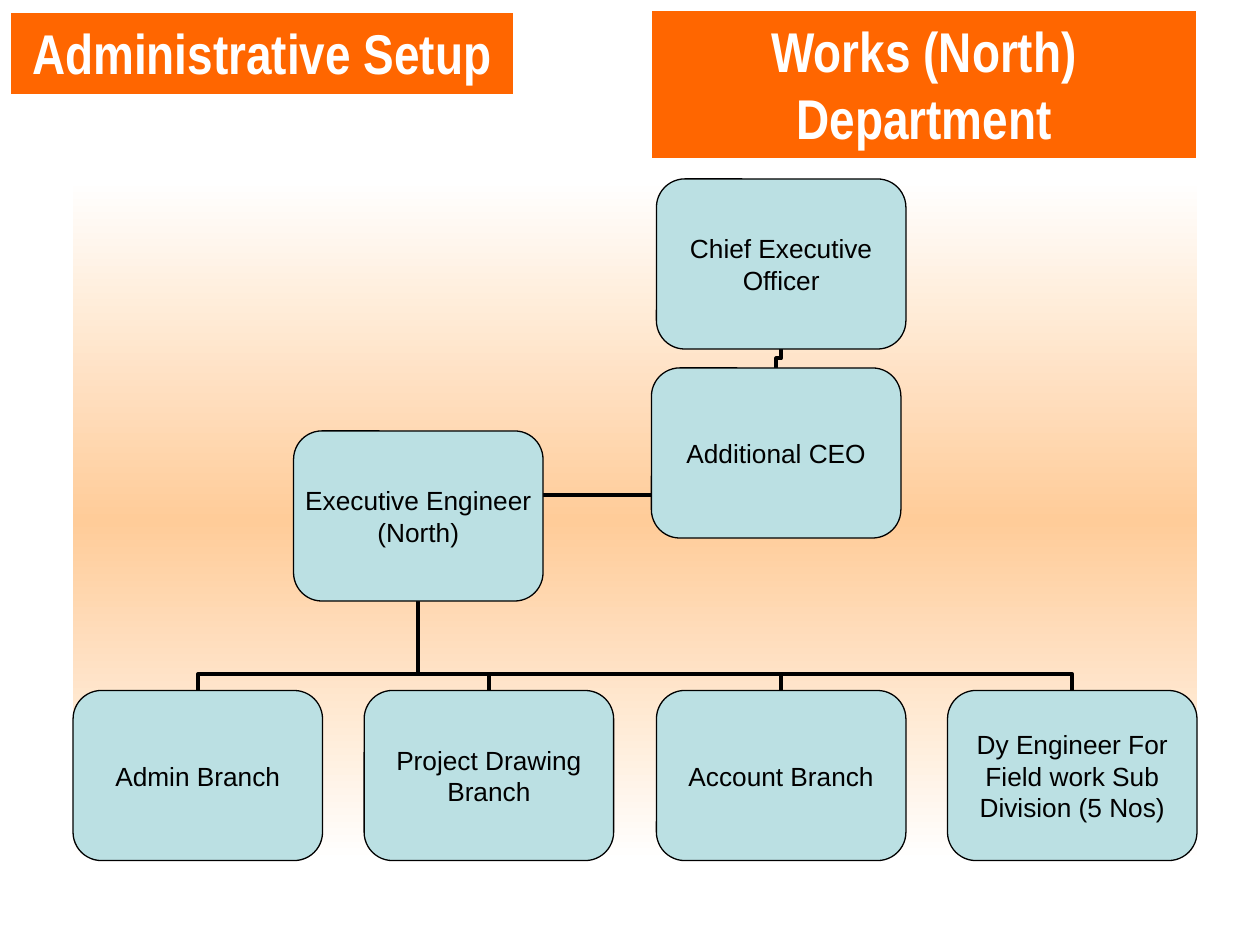
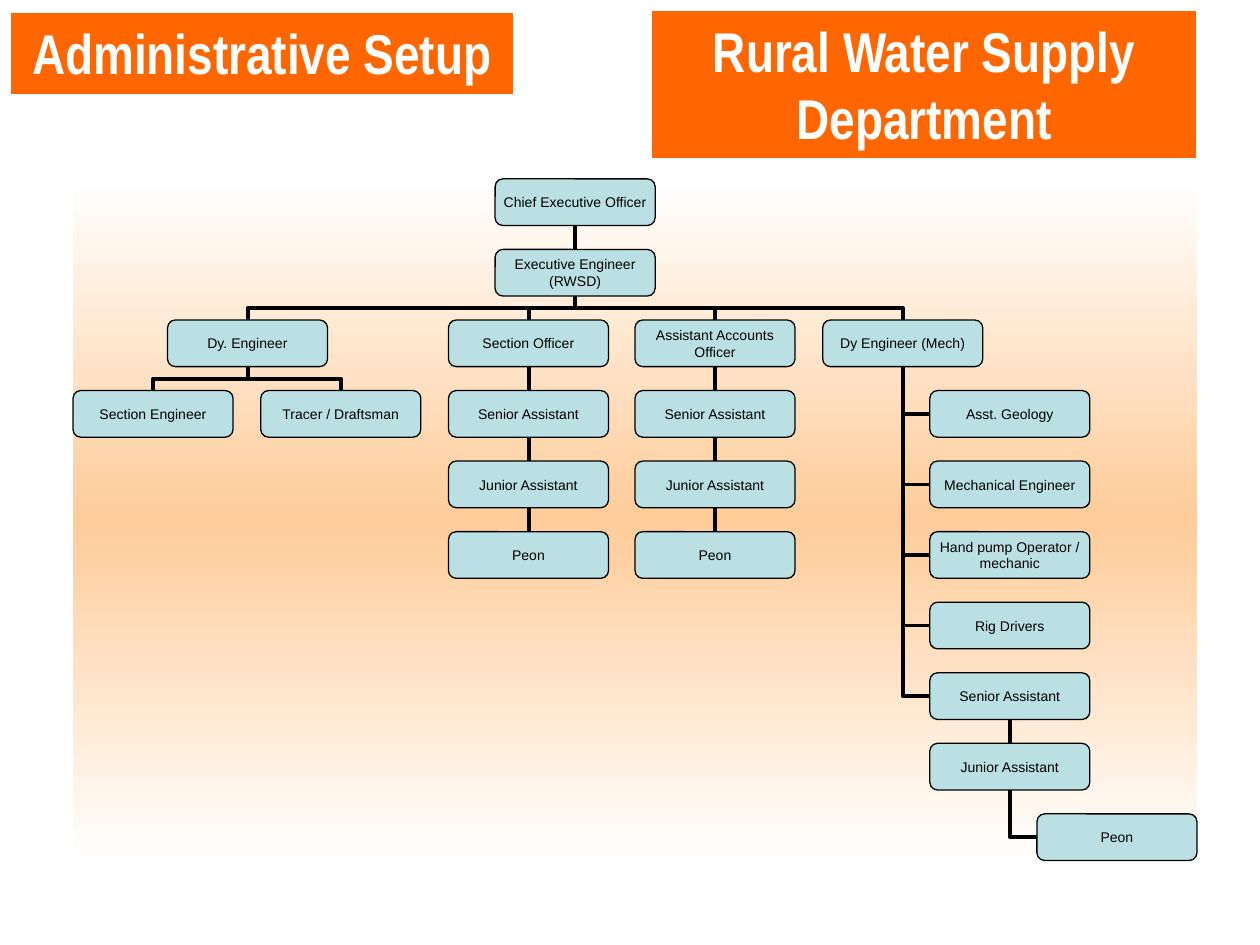
"""Build two organisation charts for the administrative setup of a council."""
from copy import deepcopy
from dataclasses import dataclass
from typing import Optional

from lxml import etree
from pptx import Presentation
from pptx.dml.color import RGBColor
from pptx.enum.shapes import MSO_CONNECTOR, MSO_SHAPE
from pptx.enum.text import MSO_ANCHOR, MSO_AUTO_SIZE, PP_ALIGN
from pptx.oxml.ns import qn
from pptx.util import Emu, Pt

EMU_PER_PX = 9144
TITLE_ONLY = 5
TOP, LEFT, BOTTOM, RIGHT = range(4)
STRAIGHT, ELBOW = MSO_CONNECTOR.STRAIGHT, MSO_CONNECTOR.ELBOW
RECTANGLE, ROUNDED = MSO_SHAPE.RECTANGLE, MSO_SHAPE.ROUNDED_RECTANGLE
CENTER = PP_ALIGN.CENTER
ANCHOR_TOP, ANCHOR_MIDDLE = MSO_ANCHOR.TOP, MSO_ANCHOR.MIDDLE
NO_AUTOFIT = MSO_AUTO_SIZE.NONE

ORANGE, PEACH, PALE_BLUE = "FF6600", "FFCC99", "BBE0E3"
WHITE, BLACK = "FFFFFF", "000000"
HEADING_FONT, BOX_FONT = "Arial Narrow", "Arial"

BELOW, BESIDE, ACROSS = "below", "beside", "across"
ACROSS_LEVEL = 393


@dataclass(frozen=True)
class Area:
    """A rectangle in px."""
    left: int
    top: int
    width: int
    height: int


@dataclass(frozen=True)
class Box:
    """A post, the post above it and the route of the line between them."""
    text: str
    left: int
    top: int
    parent: Optional["Box"] = None
    route: str = BELOW
    bend: float = 0.5


@dataclass(frozen=True)
class OrgChart:
    """One department with the size of its boxes."""
    department: str
    width: int
    height: int
    font_size: int
    boxes: list[Box]


LABEL_AREA = Area(8, 10, 400, 65)
TITLE_AREA = Area(517, 8, 433, 118)
BAND_AREA = Area(58, 142, 892, 542)


def px(value: float) -> Emu:
    """Turn px into EMU."""
    return Emu(round(value * EMU_PER_PX))


def color(value: str) -> RGBColor:
    """Turn a hex string into a colour."""
    return RGBColor.from_string(value)


def bounds(area: Area) -> tuple[Emu, Emu, Emu, Emu]:
    """Give the four lengths of an area in EMU."""
    return px(area.left), px(area.top), px(area.width), px(area.height)


def paint(shape, fill: str, line: str, line_width: float) -> None:
    """Give a shape a solid fill and an outline."""
    shape.fill.solid()
    shape.fill.fore_color.rgb = color(fill)
    shape.line.color.rgb = color(line)
    shape.line.width = Pt(line_width)


def write(shape, text: str, font: str, size: int, text_color: str, bold: bool) -> None:
    """Write one centred, wrapped paragraph into a shape."""
    frame = shape.text_frame
    frame.text = text
    frame.word_wrap = True
    frame.auto_size = NO_AUTOFIT
    paragraph = frame.paragraphs[0]
    paragraph.alignment = CENTER
    run_font = paragraph.runs[0].font
    run_font.name = font
    run_font.size = Pt(size)
    run_font.bold = bold
    run_font.color.rgb = color(text_color)


def style_heading(shape, text: str) -> None:
    """Turn a text shape into an orange heading."""
    paint(shape, ORANGE, WHITE, 1)
    write(shape, text, HEADING_FONT, 32, WHITE, True)
    shape.text_frame.vertical_anchor = ANCHOR_TOP


def add_band(slide):
    """Draw the white to peach to white background of a chart."""
    band = slide.shapes.add_shape(RECTANGLE, *bounds(BAND_AREA))
    band.shadow.inherit = False
    band.line.fill.background()
    band.fill.gradient()
    band.fill.gradient_angle = 90
    first, middle = band.fill.gradient_stops
    first.color.rgb, first.position = color(WHITE), 0
    middle.color.rgb, middle.position = color(PEACH), 0.5
    stop_list = band._element.spPr.find(".//" + qn("a:gsLst"))
    last = deepcopy(stop_list[0])
    last.set("pos", "100000")
    stop_list.append(last)
    return band


def add_box(slide, box: Box, chart: OrgChart):
    """Draw the rounded box of one post."""
    area = Area(box.left, box.top, chart.width, chart.height)
    shape = slide.shapes.add_shape(ROUNDED, *bounds(area))
    shape.shadow.inherit = False
    paint(shape, PALE_BLUE, BLACK, 0.75)
    write(shape, box.text, BOX_FONT, chart.font_size, BLACK, False)
    frame = shape.text_frame
    frame.vertical_anchor = ANCHOR_MIDDLE
    frame.margin_left = frame.margin_right = frame.margin_top = frame.margin_bottom = 0
    return shape


def add_elbow(slide, start: tuple[float, float], end: tuple[float, float], box: Box):
    """Draw an elbow that leaves its start downwards, by a quarter turn."""
    (x1, y1), (x2, y2) = start, end
    middle_x, middle_y = (x1 + x2) / 2, (y1 + y2) / 2
    half_width, half_height = (x2 - x1) / 2, (y2 - y1) / 2
    connector = slide.shapes.add_connector(
        ELBOW,
        px(middle_x - half_height), px(middle_y + half_width),
        px(middle_x + half_height), px(middle_y - half_width),
    )
    properties = connector._element.spPr
    properties.find(qn("a:xfrm")).set("rot", "5400000")
    geometry = properties.find(qn("a:prstGeom"))
    if box.route == BESIDE:
        geometry.set("prst", "bentConnector2")
    else:
        guide = etree.SubElement(geometry.find(qn("a:avLst")), qn("a:gd"))
        guide.set("name", "adj1")
        guide.set("fmla", f"val {round(box.bend * 100000)}")
    return connector


def add_link(slide, box: Box, chart: OrgChart, shapes: dict):
    """Draw the line from the post above to a post."""
    parent = box.parent
    start = parent.left + chart.width / 2, parent.top + chart.height
    if box.route == ACROSS:
        connector = slide.shapes.add_connector(
            STRAIGHT, px(parent.left), px(ACROSS_LEVEL),
            px(box.left + chart.width), px(ACROSS_LEVEL),
        )
    elif box.route == BESIDE:
        connector = add_elbow(slide, start, (box.left, box.top + chart.height / 2), box)
    elif box.left == parent.left:
        connector = slide.shapes.add_connector(STRAIGHT, 0, 0, 0, 0)
        connector.begin_connect(shapes[parent], BOTTOM)
        connector.end_connect(shapes[box], TOP)
    else:
        connector = add_elbow(slide, start, (box.left + chart.width / 2, box.top), box)
    connector.line.color.rgb = color(BLACK)
    connector.line.width = Pt(2.25)
    etree.SubElement(connector._element.spPr, qn("a:effectLst"))
    return connector


def add_chart_slide(presentation, chart: OrgChart) -> None:
    """Add the slide of one department."""
    slide = presentation.slides.add_slide(presentation.slide_layouts[TITLE_ONLY])
    title = slide.shapes.title
    title.left, title.top, title.width, title.height = bounds(TITLE_AREA)
    style_heading(title, chart.department)
    style_heading(slide.shapes.add_textbox(*bounds(LABEL_AREA)), "Administrative Setup")
    band = add_band(slide)
    shapes = {box: add_box(slide, box, chart) for box in chart.boxes}
    for box in chart.boxes:
        if box.parent:
            connector = add_link(slide, box, chart, shapes)
            band._element.addnext(connector._element)


def works_chart() -> OrgChart:
    """Describe the works department."""
    chief = Box("Chief Executive Officer", 521, 142)
    additional = Box("Additional CEO", 517, 292, chief)
    engineer = Box("Executive Engineer (North)", 233, 342, additional, ACROSS)
    names = ["Admin Branch", "Project Drawing Branch", "Account Branch",
             "Dy Engineer For Field work Sub Division (5 Nos)"]
    branches = [Box(name, round(58 + index * 694 / 3), 548, engineer, bend=0.82)
                for index, name in enumerate(names)]
    return OrgChart("Works (North) Department", 198, 135, 15,
                    [chief, additional, engineer, *branches])


def row(index: int) -> int:
    """Give the top of a row of small boxes."""
    return 142 + 56 * index


def chain(names: list[str], parent: Box, first_row: int) -> list[Box]:
    """Stack posts straight below one another."""
    boxes = []
    for index, name in enumerate(names, first_row):
        parent = Box(name, parent.left, row(index), parent)
        boxes.append(parent)
    return boxes


def water_chart() -> OrgChart:
    """Describe the water supply department."""
    chief = Box("Chief Executive Officer", 393, row(0))
    engineer = Box("Executive Engineer (RWSD)", 393, row(1), chief)
    heads = [Box(name, left, row(2), engineer) for name, left in [
        ("Dy. Engineer", 133), ("Section Officer", 356),
        ("Assistant Accounts Officer", 504), ("Dy Engineer (Mech)", 653)]]
    deputy, section, accounts, mechanical = heads
    drawing = [Box(name, left, row(3), deputy) for name, left in [
        ("Section Engineer", 58), ("Tracer / Draftsman", 207)]]
    office = ["Senior Assistant", "Junior Assistant", "Peon"]
    field_names = ["Asst. Geology", "Mechanical Engineer",
                   "Hand pump Operator / mechanic", "Rig Drivers", "Senior Assistant"]
    field = [Box(name, 738, row(index), mechanical, BESIDE)
             for index, name in enumerate(field_names, 3)]
    junior = Box("Junior Assistant", 738, row(8), field[-1])
    peon = Box("Peon", 823, row(9), junior, BESIDE)
    return OrgChart("Rural Water Supply Department", 127, 37, 8, [
        chief, engineer, *heads, *drawing, *chain(office, section, 3),
        *chain(office, accounts, 3), *field, junior, peon])


def main() -> None:
    """Build and save the presentation."""
    presentation = Presentation()
    presentation.slide_width, presentation.slide_height = px(1000), px(750)
    for chart in (works_chart(), water_chart()):
        add_chart_slide(presentation, chart)
    presentation.save("out.pptx")


if __name__ == "__main__":
    main()
